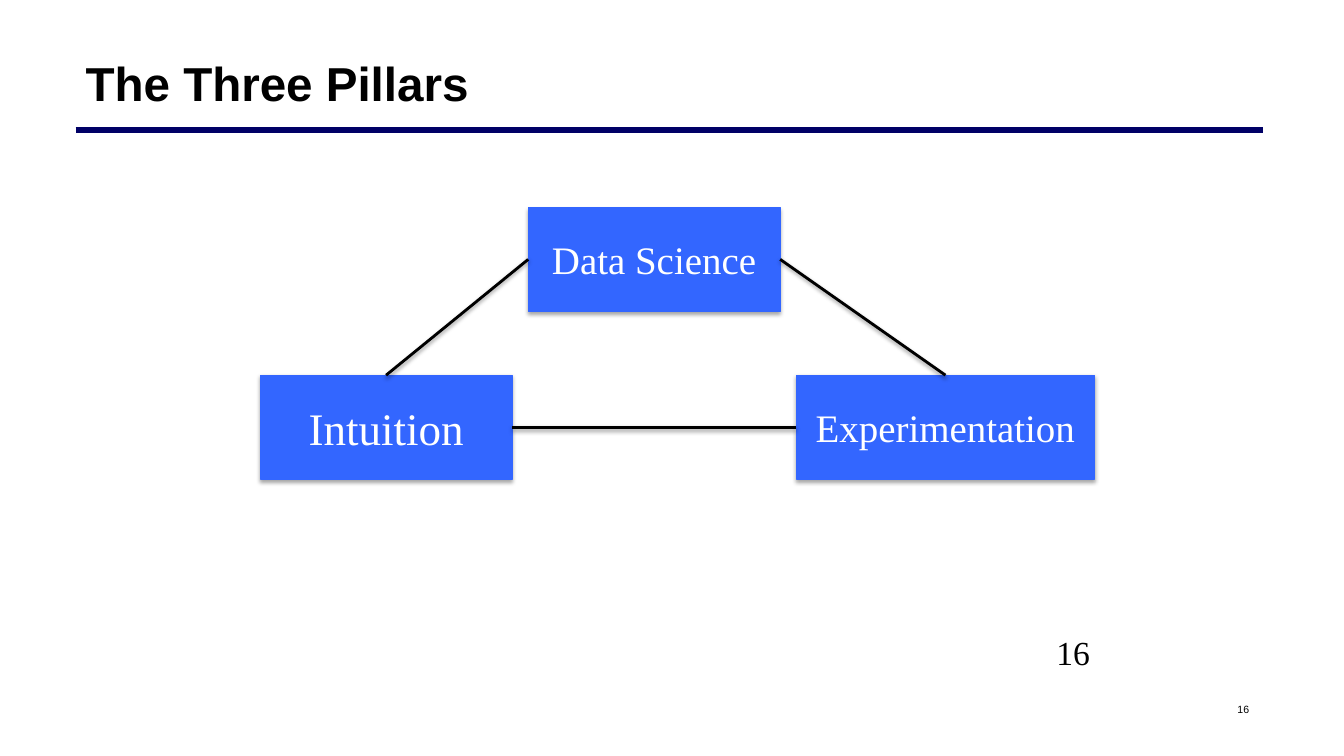
from lxml import etree
from pptx import Presentation
from pptx.dml.color import RGBColor
from pptx.enum import shapes, text
from pptx.oxml import ns
from pptx.util import Pt

COLOURS = {"ink": "000000", "pillar": "3366FF", "label": "FFFFFF", "rule": "000066"}
TOP, LEFT, RIGHT = 0, 1, 3


def colour(name):
    return RGBColor.from_string(COLOURS[name])


def write(frame, words, size, font, ink="ink", bold=False,
          align=text.PP_ALIGN.LEFT, anchor=text.MSO_ANCHOR.MIDDLE):
    frame.word_wrap = True
    frame.auto_size = text.MSO_AUTO_SIZE.NONE
    frame.vertical_anchor = anchor
    para = frame.paragraphs[0]
    para.alignment = align
    span = para.add_run()
    span.text = words
    span.font.size = Pt(size)
    span.font.name = font
    span.font.bold = bold
    span.font.color.rgb = colour(ink)


def add_shadow(item, opacity, distance):
    effects = etree.SubElement(item._element.spPr, ns.qn("a:effectLst"))
    shadow = etree.SubElement(
        effects, ns.qn("a:outerShdw"), blurRad=str(Pt(3.1)),
        dist=str(Pt(distance)), dir="5400000", rotWithShape="0")
    tint = etree.SubElement(shadow, ns.qn("a:srgbClr"), val=COLOURS["ink"])
    etree.SubElement(tint, ns.qn("a:alpha"), val=str(opacity * 1000))


def add_line(page, start, end, ink, width):
    line = page.shapes.add_connector(
        shapes.MSO_CONNECTOR.STRAIGHT, *(Pt(value) for value in (*start, *end)))
    line.line.color.rgb = colour(ink)
    line.line.width = Pt(width)
    return line


def add_heading(page, left, top, width, height):
    title = page.shapes.title
    title.left, title.top = Pt(left), Pt(top)
    title.width, title.height = Pt(width), Pt(height)
    write(title.text_frame, "The Three Pillars", 34, "Arial", bold=True)
    rule_top = top + height - 2.7
    rule = add_line(page, (left, rule_top), (left + width + 2, rule_top), "rule", 4.5)
    etree.SubElement(rule._element.spPr, ns.qn("a:effectLst"))


def add_pillar(page, words, size, left, top, width, height):
    box = page.shapes.add_shape(
        shapes.MSO_SHAPE.RECTANGLE, Pt(left), Pt(top), Pt(width), Pt(height))
    box.fill.solid()
    box.fill.fore_color.rgb = colour("pillar")
    box.line.color.rgb = colour("pillar")
    box.line.width = Pt(0.75)
    add_shadow(box, 35, 1.8)
    write(box.text_frame, words, size, "Times New Roman", "label",
          align=text.PP_ALIGN.CENTER)
    return box


def link(page, first, first_site, second, second_site):
    line = add_line(page, (0, 0), (0, 0), "ink", 2)
    line.begin_connect(first, first_site)
    line.end_connect(second, second_site)
    add_shadow(line, 38, 1.6)


def add_triangle(page, left, top, width, height):
    pillar_height = 74.2
    base = top + height - pillar_height
    science = add_pillar(page, "Data Science", 27.8, left + 191.5, top, 180, pillar_height)
    experiment = add_pillar(page, "Experimentation", 27.8,
                            left + width - 213.3, base, 213.3, pillar_height)
    intuition = add_pillar(page, "Intuition", 32.2, left, base, 180, pillar_height)
    link(page, science, RIGHT, experiment, TOP)
    link(page, experiment, LEFT, intuition, RIGHT)
    link(page, intuition, TOP, science, LEFT)


def add_number(page, left, top, width, height, size, font, align, anchor):
    box = page.shapes.add_textbox(Pt(left), Pt(top), Pt(width), Pt(height))
    write(box.text_frame, "16", size, font, align=align, anchor=anchor)


def main():
    deck = Presentation()
    deck.slide_width, deck.slide_height = Pt(960), Pt(540)
    page = deck.slides.add_slide(deck.slide_layouts[5])
    add_heading(page, 54, 21.6, 846, 74)
    add_triangle(page, 185.8, 148.2, 596.2, 194)
    add_number(page, 747.4, 447.8, 56.9, 16.6, 24, "Times New Roman",
               text.PP_ALIGN.LEFT, text.MSO_ANCHOR.TOP)
    add_number(page, 864, 493.2, 48.2, 26.6, 7.5, "Arial",
               text.PP_ALIGN.CENTER, text.MSO_ANCHOR.MIDDLE)
    deck.save("out.pptx")


if __name__ == "__main__":
    main()
